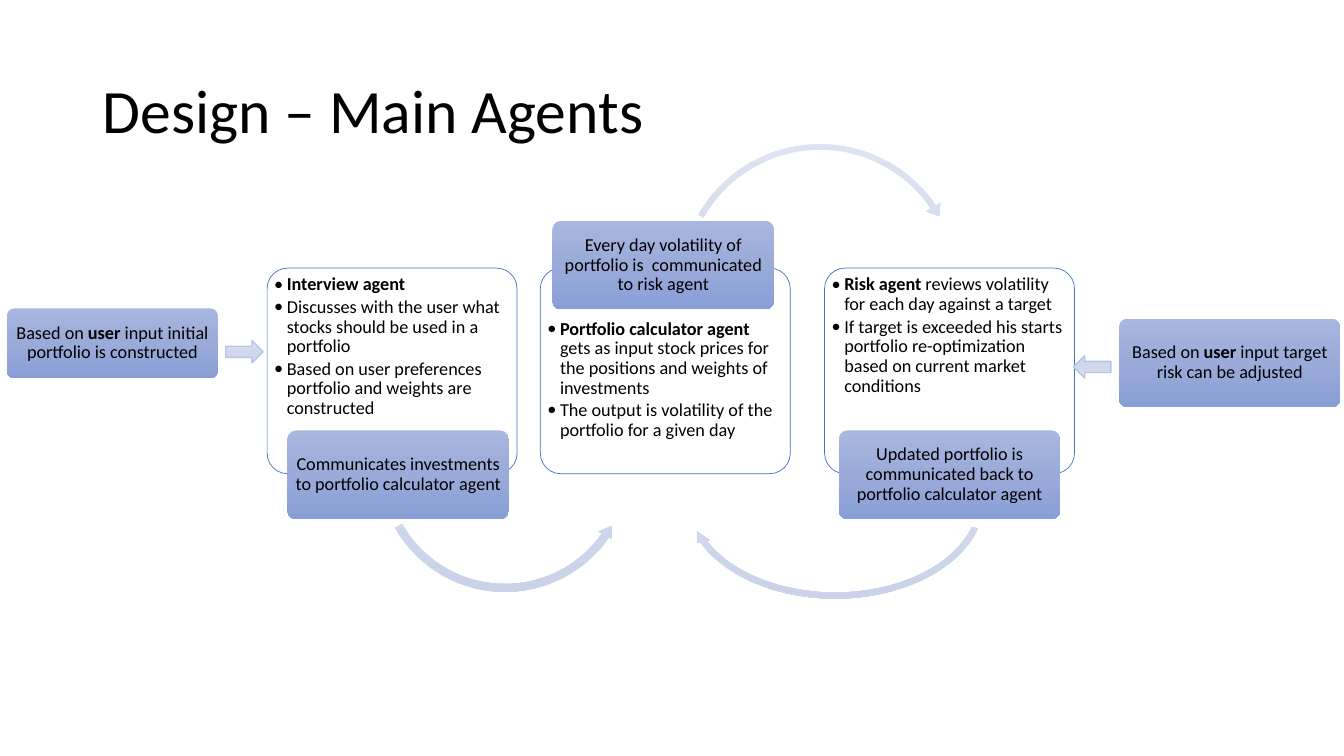
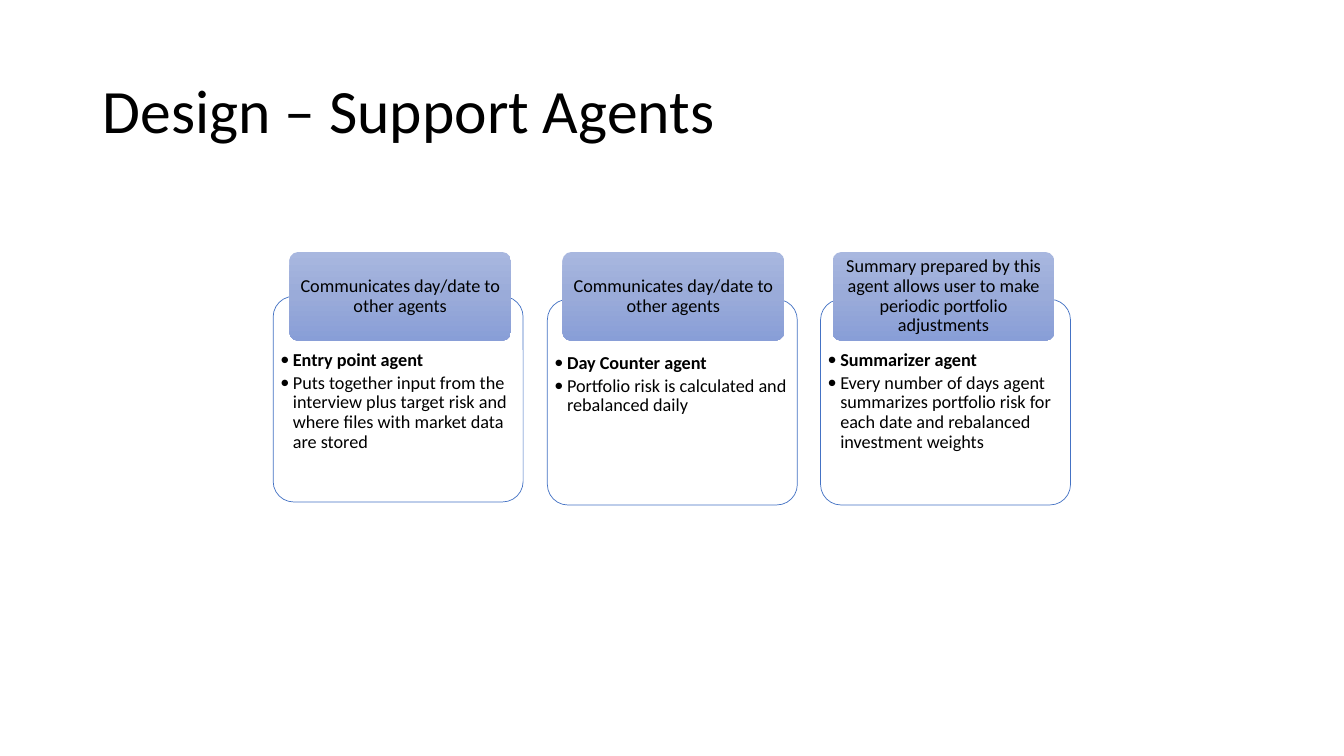
from copy import deepcopy

from pptx import Presentation
from pptx import util as u
from pptx.dml.color import RGBColor
from pptx.enum import shapes, text
from pptx.oxml import parse_xml
from pptx.oxml.ns import nsdecls

# Shared style
FONT = "Calibri"
BLACK = RGBColor(0x00, 0x00, 0x00)
WHITE = RGBColor(0xFF, 0xFF, 0xFF)
BLUE = RGBColor(0x44, 0x72, 0xC4)
EDGE = RGBColor(0xB4, 0xC7, 0xE7)
DEEP = [RGBColor(0xA8, 0xB7, 0xDF), RGBColor(0x9A, 0xAB, 0xD9), RGBColor(0x88, 0x9E, 0xD7)]
PALE = [RGBColor(0xDE, 0xE3, 0xF1), RGBColor(0xD2, 0xD8, 0xEC), RGBColor(0xCB, 0xD3, 0xEB)]

# Grid: ten columns and ten rows to the inch
CELL = u.Inches(0.1)
WIDE, HIGH = 133.33, 75
TITLE = (9.2, 4, 115, 14.5)
CARD = (24.8, 20.4)
CHIP = (22, 8.8)
ROUND = 0.1
INSET = 0.29  # share of the corner radius that a rounded box adds to its margins

KIND = shapes.MSO_SHAPE


def grid(*cells):
    return [round(c * CELL) for c in cells]


def write(para, words, size):
    """Add words run by run; parts between asterisks are bold."""
    for i, part in enumerate(words.split("*")):
        if part:
            run = para.add_run()
            run.text = part
            run.font.name = FONT
            run.font.size = u.Pt(size)
            run.font.color.rgb = BLACK
            run.font.bold = i % 2 == 1
    para.line_spacing = 0.9


def shade(shape, tones):
    """Fill from top to bottom with three tones."""
    fill = shape.fill
    fill.gradient()
    stops = shape._element.xpath("p:spPr/a:gradFill/a:gsLst")[0]
    stops.insert(1, deepcopy(stops[0]))
    for i, (stop, tone) in enumerate(zip(fill.gradient_stops, tones)):
        stop.color.rgb = tone
        stop.position = i / 2
    fill.gradient_angle = 270


def draw(slide, kind, box, adjust=()):
    shape = slide.shapes.add_shape(kind, *grid(*box))
    shape.shadow.inherit = False
    shape.line.fill.background()
    for i, value in enumerate(adjust):
        shape.adjustments[i] = value
    return shape


def panel(slide, box, side, top):
    """Rounded box whose margins allow for its corners."""
    shape = draw(slide, KIND.ROUNDED_RECTANGLE, box, [ROUND])
    frame = shape.text_frame
    frame.word_wrap = True
    trim = INSET * ROUND * min(box[2:])
    frame.margin_left, frame.margin_right = grid(side - trim, side - trim)
    frame.margin_top, frame.margin_bottom = grid(top - trim, 0)
    return shape, frame


def chip(slide, box, words):
    shape, frame = panel(slide, box, 0.5, 0.4)
    shade(shape, DEEP)
    frame.margin_bottom = frame.margin_top
    frame.vertical_anchor = text.MSO_ANCHOR.MIDDLE
    para = frame.paragraphs[0]
    para.alignment = text.PP_ALIGN.CENTER
    write(para, words, 13)


def card(slide, box, top, items):
    shape, frame = panel(slide, box, 0.7, top)
    shape.fill.solid()
    shape.fill.fore_color.rgb = WHITE
    shape.line.color.rgb = BLUE
    shape.line.width = u.Pt(0.5)
    frame.vertical_anchor = text.MSO_ANCHOR.TOP
    for i, words in enumerate(items):
        para = frame.add_paragraph() if i else frame.paragraphs[0]
        para.alignment = text.PP_ALIGN.LEFT
        para.space_after = u.Pt(2)
        write(para, words, 13)
        props = para._p.get_or_add_pPr()
        indent = grid(1.25)[0]
        props.set("marL", str(indent))
        props.set("indent", str(-indent))
        for tag in (f'buFont {nsdecls("a")} typeface="{FONT}"', f'buChar {nsdecls("a")} char="•"'):
            props.append(parse_xml(f"<a:{tag}/>"))


def agent(slide, left, top, pad, items, shift, note):
    """Card with a chip placed relative to its corner."""
    card(slide, (left, top, *CARD), pad, items)
    chip(slide, (left + shift[0], top + shift[1], *CHIP), note)


def arc(slide, kind, box, adjust):
    shade(draw(slide, kind, box, adjust), PALE)


def arrow(slide, left, top, turn):
    shape = draw(slide, KIND.RIGHT_ARROW, (left, top, 3.7, 2.2))
    shade(shape, PALE)
    shape.line.color.rgb = EDGE
    shape.line.width = u.Pt(1)
    shape.rotation = turn


def page(deck, name):
    """Title-only slide with the shared title style."""
    slide = deck.slides.add_slide(deck.slide_layouts[5])
    title = slide.shapes.title
    title.left, title.top, title.width, title.height = grid(*TITLE)
    frame = title.text_frame
    frame.word_wrap = True
    frame.auto_size = text.MSO_AUTO_SIZE.NONE
    frame.vertical_anchor = text.MSO_ANCHOR.MIDDLE
    para = frame.paragraphs[0]
    para.alignment = text.PP_ALIGN.LEFT
    write(para, name, 44)
    return slide


# Agents: left, top, text margin, bullets, chip offset, chip text
MAIN = [
    (26.5, 26.6, 0.7,
     ["*Interview agent*",
      "Discusses with the user what stocks should be used in a portfolio",
      "Based on user preferences portfolio and weights are constructed"],
     (2, 16.1), "Communicates investments to portfolio calculator agent"),
    (53.6, 26.6, 5.1,
     ["*Portfolio calculator agent *gets as input stock prices for the positions "
      "and weights of investments",
      "The output is volatility of the portfolio for a given day"],
     (1.2, -4.7), "Every day volatility of portfolio is  communicated to risk agent"),
    (81.8, 26.6, 0.7,
     ["*Risk agent *reviews volatility for each day against a target",
      "If target is exceeded his starts portfolio re-optimization based on "
      "current market conditions"],
     (1.4, 16.1), "Updated portfolio is communicated back to portfolio calculator agent"),
]
DAILY = "Communicates day/date to other agents"
HELP = [
    (27.1, 29.4, 5.4,
     ["*Entry point agent*",
      "Puts together input from the interview plus target risk and where files "
      "with market data are stored"],
     (1.6, -4.4), DAILY),
    (54.3, 29.7, 5.4,
     ["*Day Counter agent*", "Portfolio risk is calculated and rebalanced daily"],
     (1.5, -4.7), DAILY),
    (81.4, 29.7, 5.1,
     ["*Summarizer agent*",
      "Every number of days agent summarizes portfolio risk for each date and "
      "rebalanced investment weights"],
     (1.2, -4.7),
     "Summary prepared by this agent allows user to make periodic portfolio adjustments"),
]
# Arcs between agents: kind, box, adjustments
ARCS = [
    (KIND.LEFT_CIRCULAR_ARROW, (37.2, 33.3, 25.8, 25.8), (0.03, 3.09, 20.85, 90.25, 0.03)),
    (KIND.CIRCULAR_ARROW, (66.9, 13.7, 28.9, 28.9), (0.02, 2.74, 195.51, 125.76, 0.03)),
    (KIND.CIRCULAR_ARROW, (67.7, 39.3, 30.3, 20.4), (0.03, 2.74, 97.22, 7.02, 0.03)),
]


def main():
    deck = Presentation()
    deck.slide_width, deck.slide_height = grid(WIDE, HIGH)

    # Main agents, their cycle and the user's inputs
    slide = page(deck, "Design – Main Agents")
    for item in MAIN:
        agent(slide, *item)
    for item in ARCS:
        arc(slide, *item)
    chip(slide, (0.7, 30.6, 20.9, 6.9), "Based on *user* input initial portfolio is constructed")
    arrow(slide, 22.4, 33.8, 0)
    chip(slide, (111, 31.6, *CHIP), "Based on *user* input target risk can be adjusted")
    arrow(slide, 106.5, 35.3, 180)

    # Support agents
    slide = page(deck, "Design – Support Agents")
    for item in HELP:
        agent(slide, *item)

    deck.save("out.pptx")


if __name__ == "__main__":
    main()
